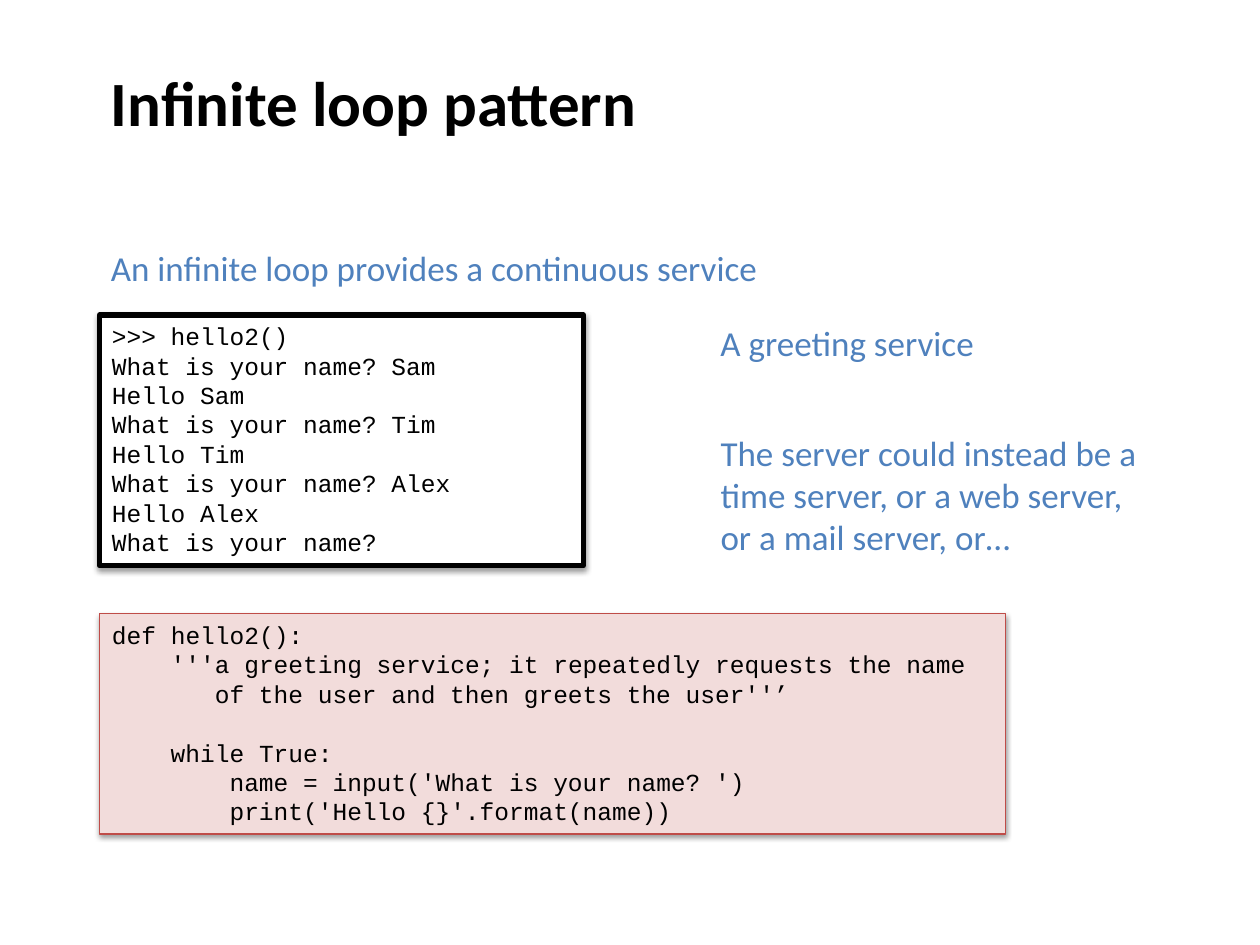
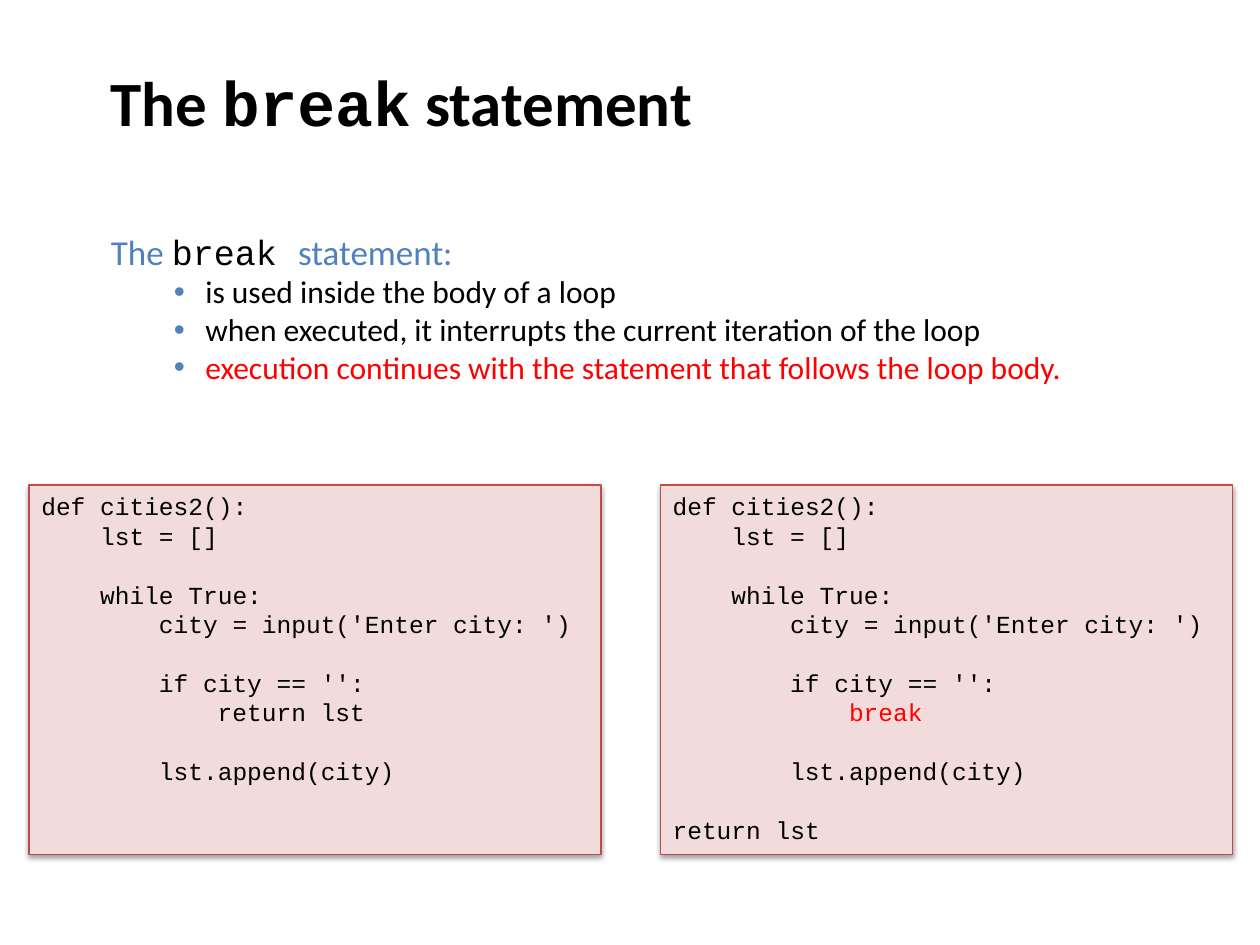
from lxml.etree import SubElement
from pptx import Presentation
from pptx.dml.color import RGBColor as RGB
from pptx.enum.shapes import MSO_SHAPE as SHAPE
from pptx.enum.text import MSO_ANCHOR as ANCHOR, MSO_AUTO_SIZE as FIT, PP_ALIGN as ALIGN
from pptx.oxml.ns import qn
from pptx.util import Inches, Pt

BLACK = RGB(0, 0, 0)
WHITE = RGB(255, 255, 255)
BLUE = RGB(0x4F, 0x81, 0xBD)
RED = RGB(255, 0, 0)
PINK = RGB(0xF2, 0xDC, 0xDB)
BRICK = RGB(0xBF, 0x4C, 0x48)
SANS, MONO = "Calibri", "Courier New"
PITCH = 16.8  # points from one code line to the next
CHAR = 8.4  # points per code character

SESSION = """>>> hello2()
What is your name? Sam
Hello Sam
What is your name? Tim
Hello Tim
What is your name? Alex
Hello Alex
What is your name?"""

HELLO = """def hello2():
    '''a greeting service; it repeatedly requests the name
       of the user and then greets the user''’

    while True:
        name = input('What is your name? ')
        print('Hello {}'.format(name))"""

CITIES = """def cities2():
    lst = []

    while True:
        city = input('Enter city: ')

        if city == '':
            %s

        lst.append(city)"""

SCRIPT = dict(fill=PINK, edge=BRICK, width=0.75)
SCREEN = dict(fill=WHITE, edge=BLACK, width=3)

# Backticks set words in the code font; each lead line is (text, is bullet, colour).
PAGES = [
    dict(
        title="Infinite loop pattern",
        lead=[("An infinite loop provides a continuous service", False, BLUE)],
        lead_at=(0.78, 1.9, 8.5, 0.44),
        code=[
            (HELLO, (0.79, 4.87, 7.19, 1.75), SCRIPT),
            (SESSION, (0.79, 2.5, 3.84, 1.99), SCREEN),
        ],
        notes=[
            ("A greeting service", (5.62, 2.5, 2.23, 0.44)),
            ("The server could instead be a time server, or a web server, "
             "or a mail server, or…", (5.62, 3.37, 3.69, 1.11)),
        ],
    ),
    dict(
        title="The `break` statement",
        lead=[
            ("The `break `statement:", False, BLUE),
            ("is used inside the body of a loop", True, BLACK),
            ("when executed, it interrupts the current iteration of the loop", True, BLACK),
            ("execution continues with the statement that follows the loop body.", True, RED),
        ],
        lead_at=(0.78, 1.77, 8.5, 1.35),
        code=[
            (CITIES % "return lst", (0.23, 3.85, 4.54, 2.93), SCRIPT),
            (CITIES % "break" + "\n\nreturn lst", (5.24, 3.85, 4.54, 2.93), SCRIPT),
        ],
        notes=[],
    ),
]


def place(shape, at):
    shape.left, shape.top, shape.width, shape.height = map(Inches, at)


def frame(shape, anchor=ANCHOR.MIDDLE):
    box = shape.text_frame
    box.word_wrap = True
    box.auto_size = FIT.NONE
    box.vertical_anchor = anchor
    return box


def write(para, text, size=20, color=BLUE, font=SANS, bold=False, gap=0, pitch=None):
    para.alignment = ALIGN.LEFT
    para.space_before = Pt(gap)
    if pitch:
        para.line_spacing = Pt(pitch)
    for i, part in enumerate(text.split("`")):
        if part:
            run = para.add_run()
            run.text = part
            face = run.font
            face.size, face.bold = Pt(size), bold
            face.name = MONO if i % 2 else font
            face.color.rgb = BLACK if i % 2 else color


def next_para(box, first):
    return box.paragraphs[0] if first else box.add_paragraph()


def indent(para, left, hang=0):
    props = para._p.get_or_add_pPr()
    props.set("marL", str(int(left)))
    props.set("indent", str(int(hang)))
    return props


def add_lead(shape, lines, at):
    place(shape, at)
    box = frame(shape)
    for i, (text, bullet, color) in enumerate(lines):
        para = next_para(box, i == 0)
        write(para, text, size=18 if bullet else 20, color=color)
        if bullet:
            para.level = 1
            props = indent(para, Inches(0.75), Inches(-0.25))
            tint = SubElement(props, qn("a:buClr"))
            SubElement(tint, qn("a:srgbClr"), val=str(BLUE))
            SubElement(props, qn("a:buFont"), typeface="Arial")
            SubElement(props, qn("a:buChar"), char="•")
        else:
            SubElement(indent(para, 0), qn("a:buNone"))


def add_shadow(shape):
    shape.shadow.inherit = False
    effects = shape._element.spPr.find(qn("a:effectLst"))
    outer = SubElement(effects, qn("a:outerShdw"), blurRad=str(Pt(3.1)),
                       dist=str(Pt(1.6)), dir="5400000", rotWithShape="0")
    tint = SubElement(outer, qn("a:srgbClr"), val=str(BLACK))
    SubElement(tint, qn("a:alpha"), val="38000")


def add_code(slide, code, at, fill, edge, width):
    """Turn leading spaces into indents and empty lines into paragraph spacing."""
    shape = slide.shapes.add_shape(SHAPE.RECTANGLE, *map(Inches, at))
    shape.fill.solid()
    shape.fill.fore_color.rgb = fill
    shape.line.color.rgb = edge
    shape.line.width = Pt(width)
    add_shadow(shape)
    box = frame(shape, ANCHOR.TOP)
    gap = 0
    for i, line in enumerate(code.split("\n")):
        text = line.lstrip()
        if not text:
            gap += PITCH
            continue
        para = next_para(box, i == 0)
        write(para, text, size=14, font=MONO, gap=gap, pitch=PITCH,
              color=RED if text == "break" else BLACK)
        indent(para, Pt(CHAR * (len(line) - len(text))))
        gap = 0


def add_page(deck, page):
    slide = deck.slides.add_slide(deck.slide_layouts[1])
    title, body = slide.placeholders
    place(title, (0.78, 0, 8.5, 1.61))
    write(frame(title).paragraphs[0], page["title"], size=36, color=BLACK, bold=True)
    add_lead(body, page["lead"], page["lead_at"])
    for code, at, style in page["code"]:
        add_code(slide, code, at, **style)
    for text, at in page["notes"]:
        note = slide.shapes.add_textbox(*map(Inches, at))
        write(frame(note).paragraphs[0], text)


def main():
    deck = Presentation()
    deck.slide_width, deck.slide_height = Inches(10), Inches(7.5)
    for page in PAGES:
        add_page(deck, page)
    deck.save("out.pptx")


if __name__ == "__main__":
    main()
